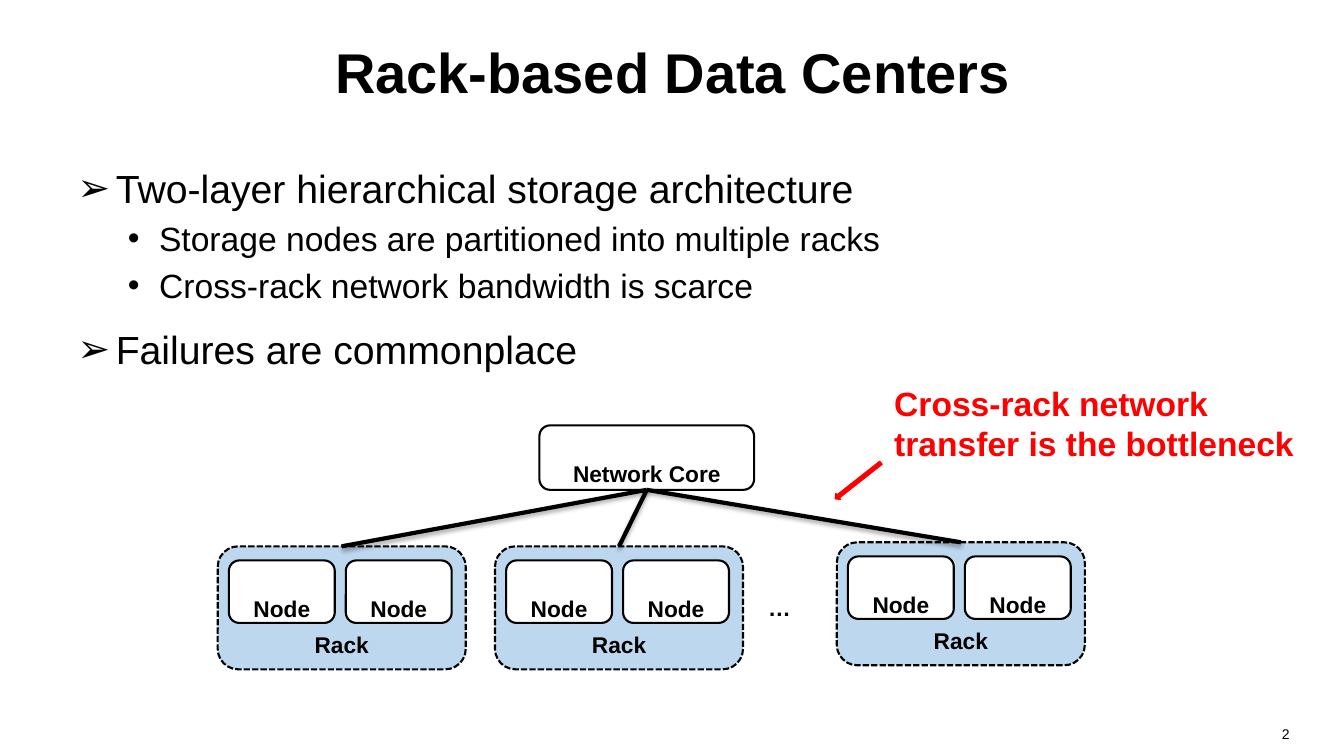
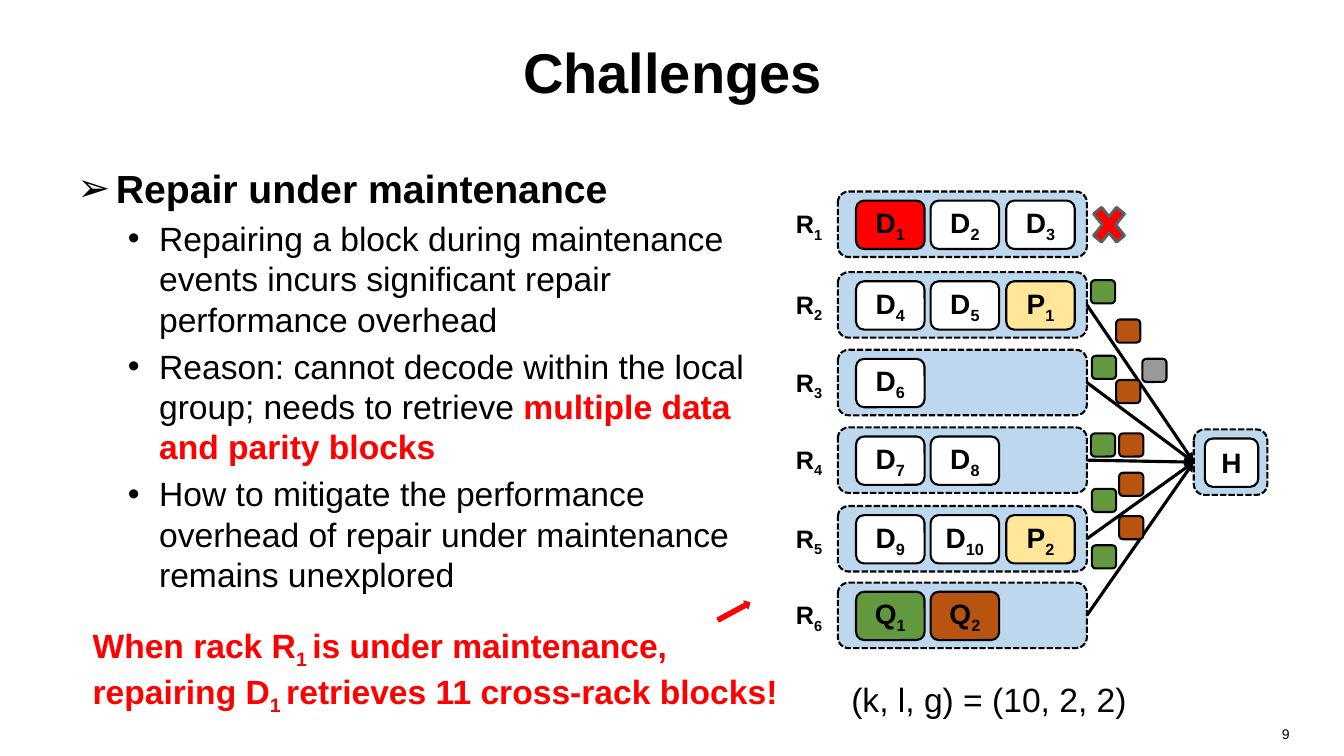
from lxml.etree import SubElement
from pptx import Presentation
from pptx.dml.color import RGBColor
from pptx.enum.dml import MSO_LINE
from pptx.enum.shapes import MSO_CONNECTOR, MSO_SHAPE
from pptx.enum.text import MSO_ANCHOR, PP_ALIGN
from pptx.oxml.ns import qn
from pptx.util import Pt

PX = 9144  # EMU per px, 100 px to the inch
FONT = "Arial"
COLORS = {
    "black": "000000", "white": "FFFFFF", "red": "FF0000", "blue": "BDD7EE",
    "yellow": "FFE699", "green": "62983E", "brown": "B85410",
    "gray": "999999", "slate": "526263",
}
TOP, LEFT, BOTTOM, RIGHT = range(4)  # connection sites
# per level: bullet, indent, hanging, size, space before
BULLETS = [("➢", 38, 38, 28, 14), ("•", 81, 31, 24, 4.8)]


def rgb(name):
    return RGBColor.from_string(COLORS[name])


class Deck:
    def __init__(self):
        self.prs = Presentation()
        self.prs.slide_width, self.prs.slide_height = 1333 * PX, 750 * PX
        self.s = None

    def slide(self, title, number):
        self.s = self.prs.slides.add_slide(self.prs.slide_layouts[6])
        self.text(67, 8, 1200, 125, title, 40, bold=True,
                  align=PP_ALIGN.CENTER, anchor=MSO_ANCHOR.MIDDLE)
        self.text(978, 715, 311, 35, number, 10, align=PP_ALIGN.RIGHT)

    def add_runs(self, p, text, size, color="black", bold=False):
        """Fill a paragraph; *...* is red and bold, ~...~ is subscript."""
        for i, part in enumerate(text.split("*")):
            for j, piece in enumerate(part.split("~")):
                if not piece:
                    continue
                r = p.add_run()
                r.text = piece
                r.font.name, r.font.size = FONT, Pt(size)
                r.font.bold = bold or i % 2 == 1
                r.font.color.rgb = rgb("red" if i % 2 else color)
                if j % 2:
                    r.font._element.set("baseline", "-25000")

    def text(self, x, y, w, h, text, size, color="black", bold=False,
             align=PP_ALIGN.LEFT, anchor=MSO_ANCHOR.TOP, wrap=True):
        tf = self.s.shapes.add_textbox(x * PX, y * PX, w * PX, h * PX).text_frame
        tf.word_wrap, tf.vertical_anchor = wrap, anchor
        p = tf.paragraphs[0]
        p.alignment = align
        self.add_runs(p, text, size, color, bold)

    def bullets(self, w, items, bold_heads=False):
        """Body list of (level, text) items."""
        tf = self.s.shapes.add_textbox(67 * PX, 158 * PX, w * PX, 512 * PX).text_frame
        tf.word_wrap = True
        for i, (level, text) in enumerate(items):
            char, indent, hanging, size, space = BULLETS[level]
            p = tf.add_paragraph() if i else tf.paragraphs[0]
            p.level = level
            pPr = p._p.get_or_add_pPr()
            pPr.set("marL", str(indent * PX))
            pPr.set("indent", str(-hanging * PX))
            SubElement(pPr, qn("a:buFont"), typeface=FONT)
            SubElement(pPr, qn("a:buChar"), char=char)
            if i:
                p.space_before = Pt(space)
            self.add_runs(p, text, size, bold=bold_heads and level == 0)

    def shape(self, x, y, w, h, fill, kind=MSO_SHAPE.ROUNDED_RECTANGLE,
              line="black", weight=1.5, dashed=False, rotation=0):
        sp = self.s.shapes.add_shape(kind, x * PX, y * PX, w * PX, h * PX)
        sp.shadow.inherit = False
        sp.fill.solid()
        sp.fill.fore_color.rgb = rgb(fill)
        sp.line.color.rgb = rgb(line)
        sp.line.width = Pt(weight)
        if dashed:
            sp.line.dash_style = MSO_LINE.SQUARE_DOT
        sp.rotation = rotation
        return sp

    def box(self, x, y, w, h, text, size=20, fill="white",
            anchor=MSO_ANCHOR.MIDDLE, dashed=False):
        """Rounded box with a centred bold label."""
        sp = self.shape(x, y, w, h, fill, dashed=dashed)
        tf = sp.text_frame
        tf.word_wrap, tf.vertical_anchor = True, anchor
        p = tf.paragraphs[0]
        p.alignment = PP_ALIGN.CENTER
        self.add_runs(p, text, size, bold=True)
        return sp

    def rack(self, x, y, w=247, h=65):
        return self.shape(x, y, w, h, "blue", dashed=True)

    def red_arrow(self, x, y, w, h, rotation):
        self.shape(x, y, w, h, "red", MSO_SHAPE.RIGHT_ARROW, "red", 0.75,
                   rotation=rotation)

    def link(self, start, start_site, end, end_site, weight, arrow=False, shadow=False):
        c = self.s.shapes.add_connector(MSO_CONNECTOR.STRAIGHT, 0, 0, 0, 0)
        c.begin_connect(start, start_site)
        c.end_connect(end, end_site)
        c.line.color.rgb = rgb("black")
        c.line.width = Pt(weight)
        spPr = c._element.spPr
        if arrow:
            SubElement(spPr.find(qn("a:ln")), qn("a:tailEnd"), type="triangle")
        effects = SubElement(spPr, qn("a:effectLst"))
        if shadow:
            outer = SubElement(effects, qn("a:outerShdw"), blurRad="40000",
                               dist="23000", dir="5400000", rotWithShape="0")
            clr = SubElement(outer, qn("a:srgbClr"), val=COLORS["black"])
            SubElement(clr, qn("a:alpha"), val="35000")


def data_centers(d):
    d.slide("Rack-based Data Centers", "2")
    d.bullets(1200, [
        (0, "Two-layer hierarchical storage architecture"),
        (1, "Storage nodes are partitioned into multiple racks"),
        (1, "Cross-rack network bandwidth is scarce"),
        (0, "Failures are commonplace"),
    ])
    d.text(877, 375, 419, 91, "Cross-rack network transfer is the bottleneck",
           24, "red", bold=True)
    d.red_arrow(822, 473, 58, 8, 141.8)

    core = d.box(535, 422, 213, 64, "~Network Core", 28, anchor=MSO_ANCHOR.TOP)
    for x, y in [(216, 542), (491, 542), (830, 538)]:
        rack = d.box(x, y, 246, 122, "~Rack", 28, "blue", MSO_ANCHOR.BOTTOM, dashed=True)
        for dx in (11, 127):
            d.box(x + dx, y + 14, 105, 62, "~Node", 28, anchor=MSO_ANCHOR.TOP)
        d.link(core, BOTTOM, rack, TOP, 3, shadow=True)
    d.text(752, 558, 46, 43, "~…", 28, bold=True, wrap=False)


def challenges(d):
    d.slide("Challenges", "9")
    d.bullets(688, [
        (0, "Repair under maintenance"),
        (1, "Repairing a block during maintenance events incurs significant "
            "repair performance overhead"),
        (1, "Reason: cannot decode within the local group; needs to retrieve "
            "*multiple data and parity blocks*"),
        (1, "How to mitigate the performance overhead of repair under "
            "maintenance remains unexplored"),
    ], bold_heads=True)

    helper = d.rack(1184, 426, 73)
    d.box(1195, 435, 53, 48, "H")

    racks = [
        (190, ["D~1", "D~2", "D~3"]),
        (270, ["D~4", "D~5", "P~1"]),
        (347, ["D~6"]),
        (424, ["D~7", "D~8"]),
        (502, ["D~9", "D~10", "P~2"]),
        (578, ["Q~1", "Q~2"]),
    ]
    fills = {"D~1": "red", "P~1": "yellow", "P~2": "yellow",
             "Q~1": "green", "Q~2": "brown"}
    for n, (y, blocks) in enumerate(racks, 1):
        rack = d.rack(831, y)
        d.text(776, y + 12, 53, 40, f"R~{n}", 18, bold=True, align=PP_ALIGN.CENTER)
        for x, block in zip((849, 923, 998), blocks):
            d.box(x, y + 9, 68, 48, block, fill=fills.get(block, "white"))
        if n > 1:
            d.link(rack, RIGHT, helper, LEFT, 2.25, arrow=True)
    d.shape(1078, 196, 44, 54, "red", MSO_SHAPE.MATH_MULTIPLY, "slate", 2)

    sent_blocks = {
        "gray": [(1133, 356)],
        "green": [(1082, 278), (1083, 353), (1082, 430), (1083, 485), (1083, 541)],
        "brown": [(1107, 317), (1107, 377), (1110, 430), (1110, 469), (1110, 512)],
    }
    for color, places in sent_blocks.items():
        for x, y in places:
            d.shape(x, y, 24, 23, color)

    d.text(82, 615, 710, 91, "When rack R~1 ~is under maintenance, repairing D~1 ~"
           "retrieves 11 cross-rack blocks!", 24, "red", bold=True)
    d.red_arrow(710, 602, 36, 9, 331.6)
    d.text(803, 669, 356, 50, "(k, l, g) = (10, 2, 2)", 24, align=PP_ALIGN.CENTER)


def main():
    d = Deck()
    data_centers(d)
    challenges(d)
    d.prs.save("out.pptx")


if __name__ == "__main__":
    main()
